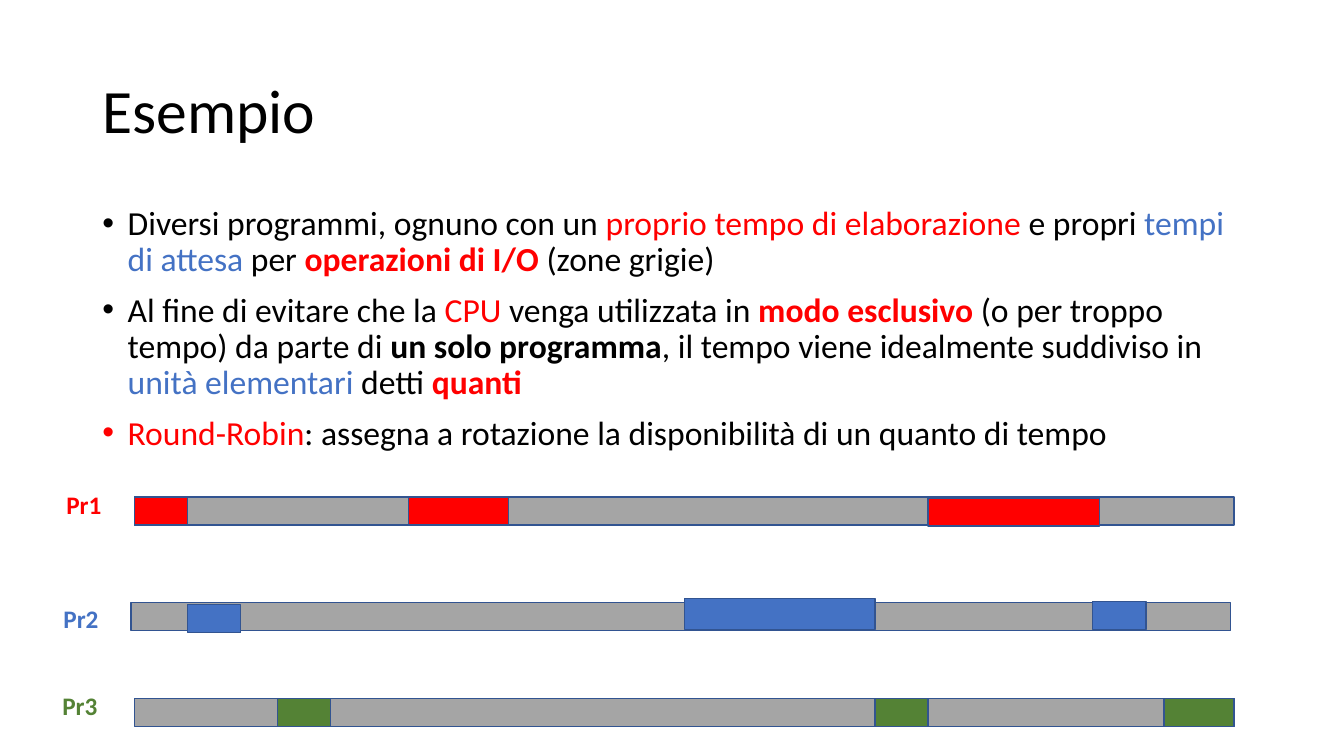
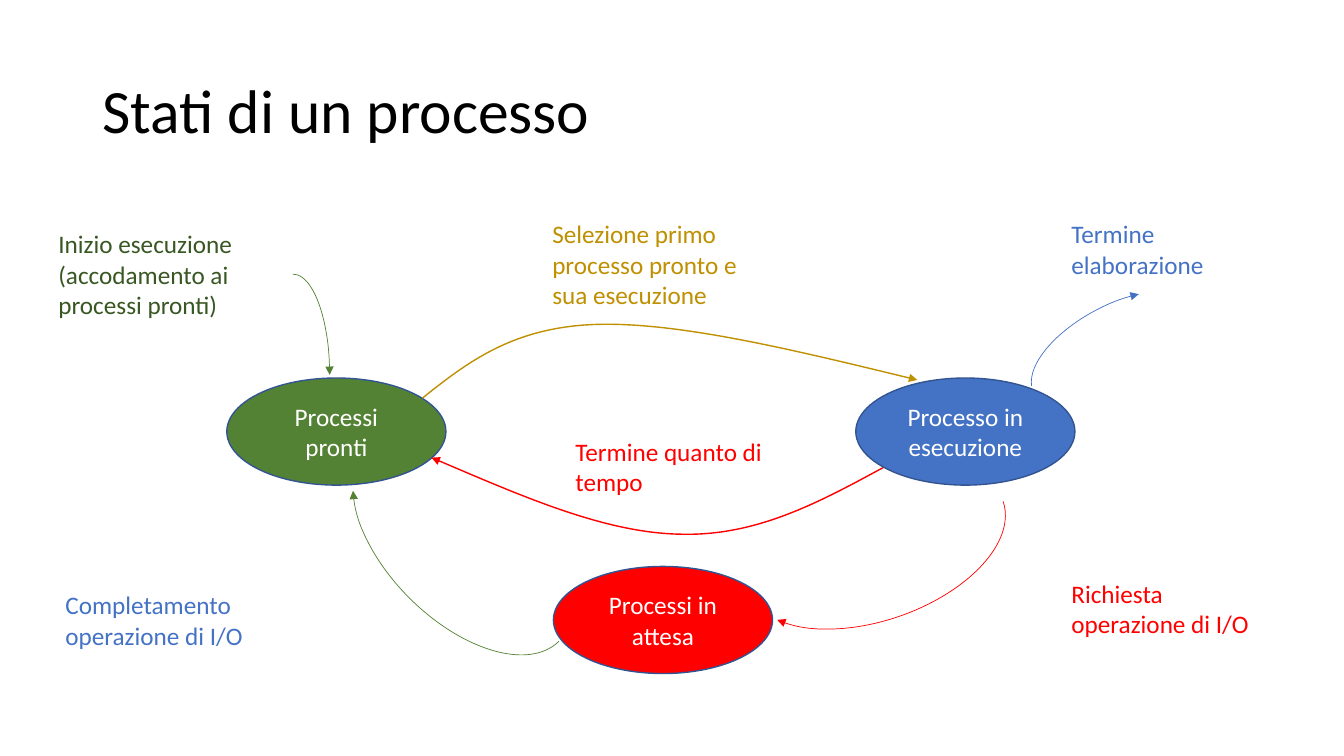
from itertools import starmap
from lxml.etree import SubElement
from pptx import Presentation
from pptx.dml.color import RGBColor
from pptx.enum.shapes import MSO_SHAPE as Preset
from pptx.enum.text import MSO_ANCHOR as Anchor, MSO_AUTO_SIZE as AutoSize, PP_ALIGN as Align
from pptx.oxml.ns import qn
from pptx.util import Pt

FONT = "Calibri"
BLACK = RGBColor(0x00, 0x00, 0x00)
WHITE = RGBColor(0xFF, 0xFF, 0xFF)
RED = RGBColor(0xFF, 0x00, 0x00)
BLUE = RGBColor(0x44, 0x72, 0xC4)
GREEN = RGBColor(0x54, 0x82, 0x35)
DARK_GREEN = RGBColor(0x38, 0x57, 0x23)
GOLD = RGBColor(0xBF, 0x90, 0x00)
GRAY = RGBColor(0xA5, 0xA5, 0xA5)
OUTLINE = RGBColor(0x32, 0x54, 0x91)

TITLE_BOX = (66, 28.8, 828, 104.4)
BODY_BOX = (66, 144, 828, 191.5)
BAR_WIDTH, BAR_HEIGHT = 785.5, 20
STATE_SIZE = (156.5, 76.5)
NOTE_WIDTH = 148.5

BULLETS = [
    [("Diversi programmi, ognuno con un ", BLACK, False),
     ("proprio tempo di elaborazione ", RED, False),
     ("e propri ", BLACK, False),
     ("tempi di attesa ", BLUE, False),
     ("per ", BLACK, False),
     ("operazioni di I/O ", RED, True),
     ("(zone grigie)", BLACK, False)],
    [("Al fine di evitare che la ", BLACK, False),
     ("CPU ", RED, False),
     ("venga utilizzata in ", BLACK, False),
     ("modo esclusivo ", RED, True),
     ("(o per troppo tempo) da parte di ", BLACK, False),
     ("un solo programma", BLACK, True),
     (", il tempo viene idealmente suddiviso in ", BLACK, False),
     ("unità elementari ", BLUE, False),
     ("detti ", BLACK, False),
     ("quanti", RED, True)],
    [("Round-Robin", RED, False),
     (": assegna a rotazione la disponibilità di un quanto di tempo", BLACK, False)],
]

PROGRAMS = [
    {"name": "Pr1", "color": RED, "label": (40.3, 345.6), "bar": (96, 355),
     "bursts": [(96, 355, 38, 20), (291.6, 355, 71.5, 20), (663, 355.8, 122.5, 20)]},
    {"name": "Pr2", "color": BLUE, "label": (38.2, 427.5), "bar": (93.6, 430.5),
     "bursts": [(134, 432, 38, 20), (489, 427.5, 136, 22), (780.5, 429.8, 38, 20)]},
    {"name": "Pr3", "color": GREEN, "label": (37.4, 489.6), "bar": (96, 499),
     "bursts": [(198, 499, 38, 20), (625, 499, 38, 20), (831.6, 499, 49.9, 20)]},
]

STATES = [
    ("Processi pronti", GREEN, 162, 270),
    ("Processo in esecuzione", BLUE, 611.3, 270),
    ("Processi in attesa", RED, 395.3, 404.6),
]

NOTES = [
    ("Inizio esecuzione (accodamento ai processi pronti)", DARK_GREEN, 34.6, 159.8, 72.7),
    ("Selezione primo processo pronto e sua esecuzione", GOLD, 387.4, 152.6, 72.7),
    ("Termine elaborazione", BLUE, 758.2, 152.6, 51),
    ("Termine quanto di tempo", RED, 403.9, 308.2, 51),
    ("Completamento operazione di I/O", BLUE, 39.6, 417.6, 51),
    ("Richiesta operazione di I/O", RED, 758.2, 409.7, 51),
]

ARCS = [
    {"box": (182.9, 195.8, 52.6, 144), "color": GREEN, "rotation": 0, "angles": (162, 0)},
    {"box": (730.8, 218.2, 132.5, 62.6), "color": BLUE, "rotation": 332.1, "angles": (110.55, 192.29)},
    {"box": (571.7, 293, 106.6, 193.7), "color": RED, "rotation": 70.9, "angles": (162, 43.16)},
    {"box": (277.2, 293, 106.6, 193.7), "color": GREEN, "rotation": 134.7, "angles": (162, 43.16)},
]

CURVES = [
    (GOLD, [(301.7, 284.4), (333.4, 259.2), (365.8, 234), (424.8, 231.8),
            (483.8, 229.7), (569.5, 250.6), (655.2, 271.4)]),
    (RED, [(630.7, 334.1), (585.4, 358.6), (540.7, 383), (486.7, 381.6),
           (432.7, 380.9), (370.8, 353.5), (308.2, 326.9)]),
]


def points(*values):
    return [Pt(value) for value in values]


def add_run(paragraph, text, *, size=18, color=BLACK, bold=False):
    run = paragraph.add_run()
    run.text = text
    run.font.name = FONT
    run.font.size = Pt(size)
    run.font.bold = bold
    run.font.color.rgb = color


def place(shape, box):
    shape.left, shape.top, shape.width, shape.height = points(*box)


def add_titled_slide(presentation, layout_index, title_text):
    slide = presentation.slides.add_slide(presentation.slide_layouts[layout_index])
    title = slide.shapes.title
    place(title, TITLE_BOX)
    frame = title.text_frame
    frame.auto_size = AutoSize.NONE
    frame.vertical_anchor = Anchor.MIDDLE
    paragraph = frame.paragraphs[0]
    paragraph.alignment = Align.LEFT
    paragraph.line_spacing = 0.9
    add_run(paragraph, title_text, size=44)
    return slide


def add_label(slide, text, box, **text_format):
    frame = slide.shapes.add_textbox(*points(*box)).text_frame
    frame.word_wrap = True
    frame.auto_size = AutoSize.SHAPE_TO_FIT_TEXT
    add_run(frame.paragraphs[0], text, **text_format)


def add_filled(slide, preset, box, color):
    shape = slide.shapes.add_shape(preset, *points(*box))
    shape.shadow.inherit = False
    shape.fill.solid()
    shape.fill.fore_color.rgb = color
    shape.line.color.rgb = OUTLINE
    shape.line.width = Pt(1)
    return shape


def style_arrow(shape, color, width):
    shape.shadow.inherit = False
    shape.fill.background()
    shape.line.color.rgb = color
    shape.line.width = Pt(width)
    line = shape._element.spPr.find(qn("a:ln"))
    SubElement(line, qn("a:tailEnd"), type="triangle")


def add_arc(slide, box, color, rotation, angles):
    arc = slide.shapes.add_shape(Preset.ARC, *points(*box))
    arc.rotation = rotation
    for index, angle in enumerate(angles):
        arc.adjustments[index] = angle
    style_arrow(arc, color, 0.5)


def add_curve(slide, color, nodes):
    start, *others = starmap(points, nodes)
    builder = slide.shapes.build_freeform(*start)
    builder.add_line_segments(others, close=False)
    curve = builder.convert_to_shape()
    outline = next(curve._element.iter(qn("a:path")))
    for index, segment in enumerate(outline.findall(qn("a:lnTo"))):
        if index % 3 == 0:
            bezier = SubElement(outline, qn("a:cubicBezTo"))
        bezier.append(segment[0])
        outline.remove(segment)
    style_arrow(curve, color, 1)


def fill_bullets(body):
    place(body, BODY_BOX)
    frame = body.text_frame
    frame.auto_size = AutoSize.NONE
    for index, runs in enumerate(BULLETS):
        paragraph = frame.add_paragraph() if index else frame.paragraphs[0]
        paragraph.line_spacing = 0.9
        paragraph.space_before = Pt(10 if index else 0)
        properties = paragraph._p.get_or_add_pPr()
        properties.set("marL", str(Pt(18)))
        properties.set("indent", str(Pt(-18)))
        SubElement(properties, qn("a:buFont"), typeface="Arial")
        SubElement(properties, qn("a:buChar"), char="•")
        for text, color, bold in runs:
            add_run(paragraph, text, size=24, color=color, bold=bold)


def build_example(presentation):
    slide = add_titled_slide(presentation, 1, "Esempio")
    fill_bullets(slide.placeholders[1])
    for program in PROGRAMS:
        color = program["color"]
        add_filled(slide, Preset.RECTANGLE, (*program["bar"], BAR_WIDTH, BAR_HEIGHT), GRAY)
        add_label(slide, program["name"], (*program["label"], 51, 29), color=color, bold=True)
        for burst in program["bursts"]:
            add_filled(slide, Preset.RECTANGLE, burst, color)


def build_states(presentation):
    slide = add_titled_slide(presentation, 5, "Stati di un processo")
    for text, color, left, top in STATES:
        frame = add_filled(slide, Preset.OVAL, (left, top, *STATE_SIZE), color).text_frame
        frame.word_wrap = True
        frame.vertical_anchor = Anchor.MIDDLE
        paragraph = frame.paragraphs[0]
        paragraph.alignment = Align.CENTER
        add_run(paragraph, text, color=WHITE)
    for text, color, left, top, height in NOTES:
        add_label(slide, text, (left, top, NOTE_WIDTH, height), color=color)
    for color, nodes in CURVES:
        add_curve(slide, color, nodes)
    for arc in ARCS:
        add_arc(slide, **arc)


def main():
    presentation = Presentation()
    presentation.slide_width, presentation.slide_height = points(960, 540)
    build_example(presentation)
    build_states(presentation)
    presentation.save("out.pptx")


if __name__ == "__main__":
    main()
